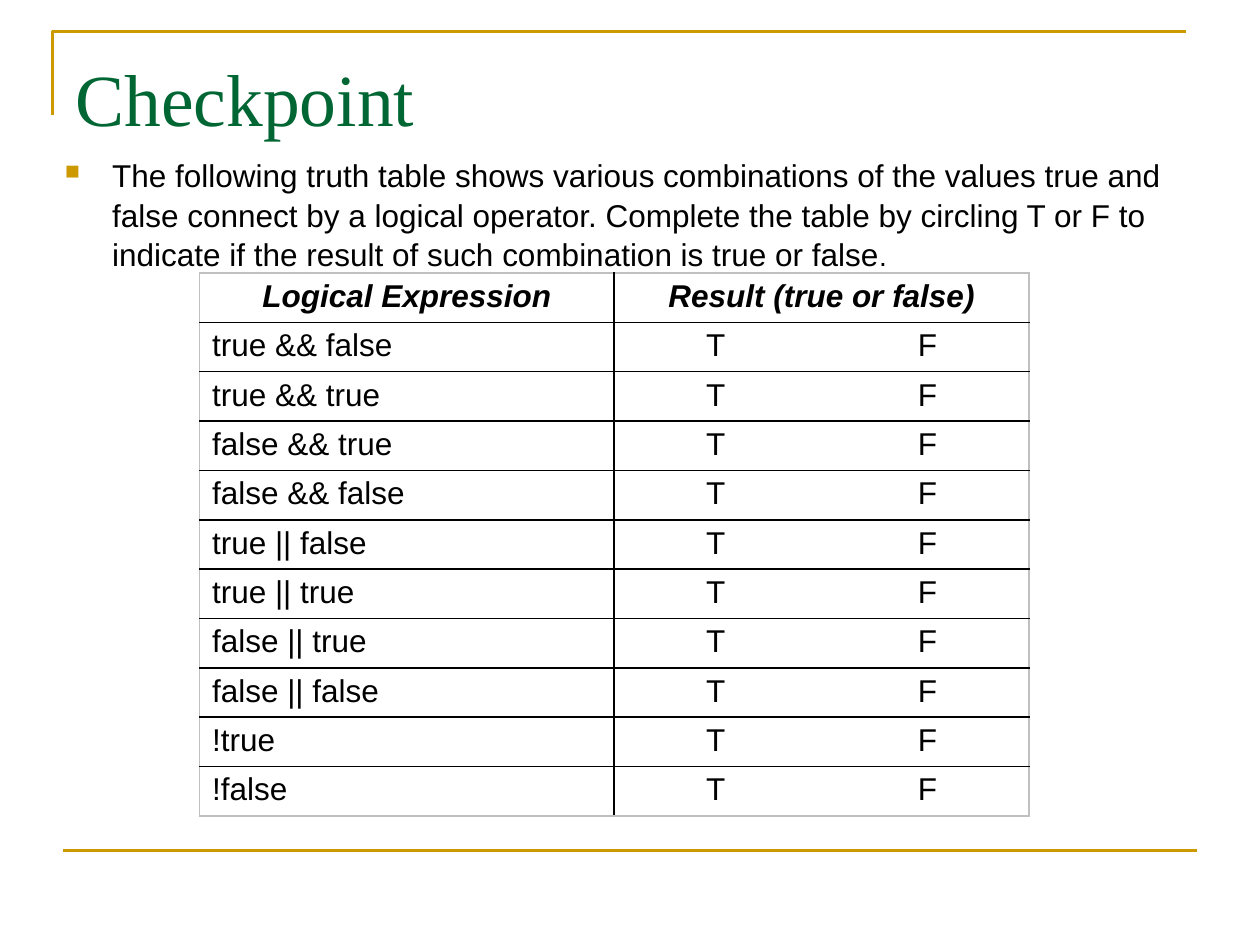
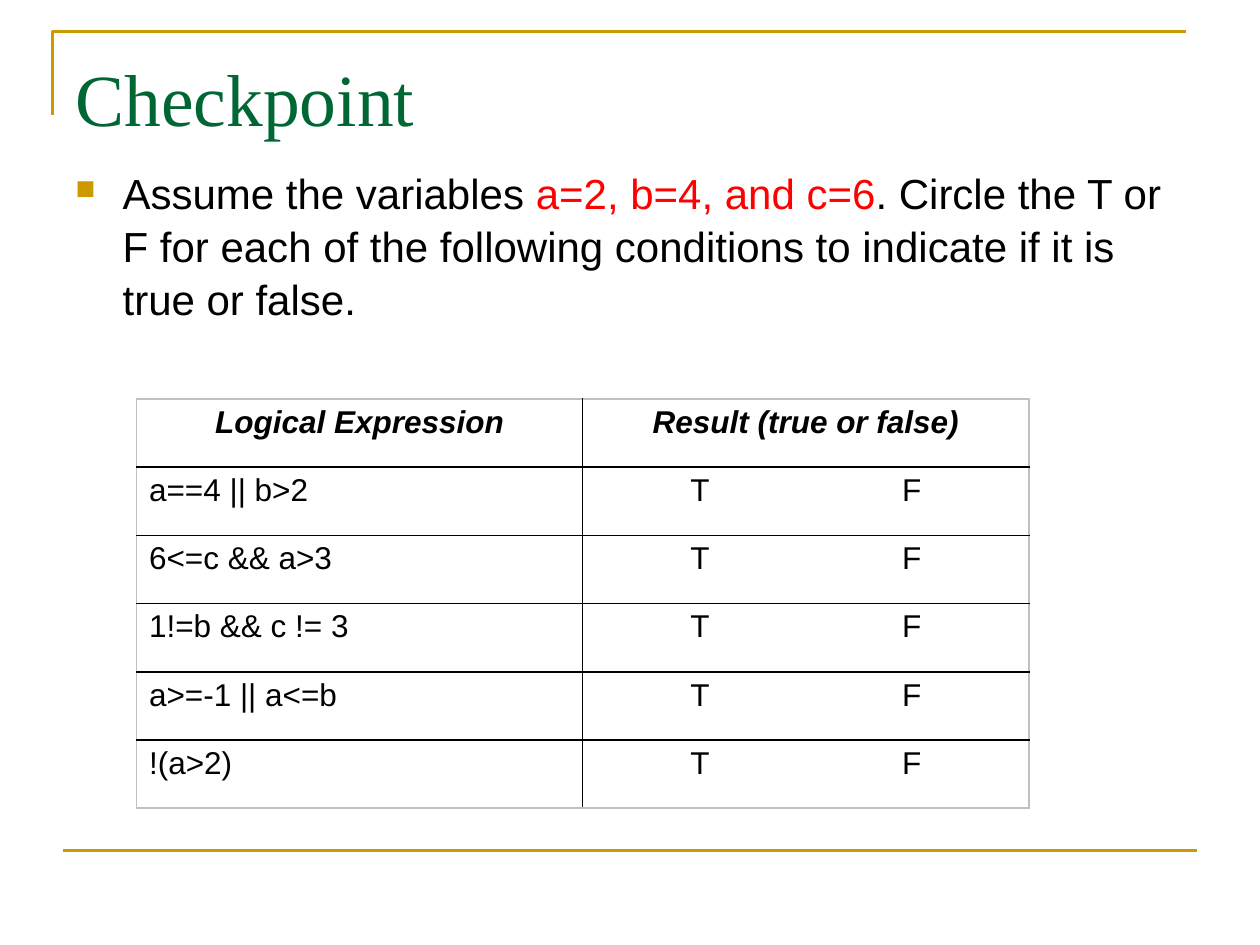
from dataclasses import dataclass

from lxml import etree
from pptx import Presentation
from pptx.dml.color import RGBColor
from pptx.enum.shapes import MSO_CONNECTOR
from pptx.enum.text import MSO_ANCHOR, PP_ALIGN
from pptx.oxml.ns import qn
from pptx.util import Pt

STRAIGHT = MSO_CONNECTOR.STRAIGHT
TOP = MSO_ANCHOR.TOP
LEFT, CENTER = PP_ALIGN.LEFT, PP_ALIGN.CENTER

COLORS = {
    "rule": "CC9900",
    "title": "006633",
    "text": "000000",
    "accent": "FF0000",
    "table_edge": "C0C0C0",
}
TITLE_FONT, BODY_FONT = "Times New Roman", "Arial"
TITLE_LAYOUT = 5
HEADERS = ("Logical Expression", "Result (true or false)")
CELL_SIDE, CELL_TOP = 7.2, 3.3
CHOICE_GAP = 121  # from the start of T to the start of F
CHOICE_WIDTH = 132  # whole width of the T and F pair


@dataclass(frozen=True)
class Phrase:
    text: str
    size: float
    color: str = "text"


@dataclass(frozen=True)
class Question:
    left: float
    top: float
    width: float
    height: float
    phrases: tuple[Phrase, ...]


@dataclass(frozen=True)
class TruthTable:
    left: float
    top: float
    column_width: float
    row_height: float
    expressions: tuple[str, ...]


@dataclass(frozen=True)
class Checkpoint:
    question: Question
    truth_table: TruthTable


CHECKPOINTS = (
    Checkpoint(
        Question(30, 84.5, 653, 72, (
            Phrase("The following truth table shows various combinations of the values "
                   "true and false connect by a logical operator. Complete the table by "
                   "circling T or F to indicate if the result of such combination is "
                   "true or false", 18),
            Phrase(".", 16),
        )),
        TruthTable(114, 156, 237, 27.43, (
            "true && false", "true && true", "false && true", "false && false",
            "true || false", "true || true", "false || true", "false || false",
            "!true", "!false",
        )),
    ),
    Checkpoint(
        Question(36, 91, 648, 138, (
            Phrase("Assume the variables ", 24),
            Phrase("a=2, b=4, and c=6", 24, "accent"),
            Phrase(". Circle the T or F for each of the following conditions to "
                   "indicate if it is true or false.", 24),
        )),
        TruthTable(78, 228, 255, 39, (
            "a==4 || b>2", "6<=c && a>3", "1!=b && c != 3", "a>=-1 || a<=b", "!(a>2)",
        )),
    ),
)


def color(name: str) -> RGBColor:
    return RGBColor.from_string(COLORS[name])


def format_font(font, name: str, size: float, color_name: str) -> None:
    font.name = name
    font.size = Pt(size)
    font.color.rgb = color(color_name)


def draw_frame(slide) -> None:
    # Corner rule above the title
    builder = slide.shapes.build_freeform(Pt(30), Pt(66))
    builder.add_line_segments([(Pt(30), Pt(18)), (Pt(678), Pt(18))], close=False)
    corner = builder.convert_to_shape()
    corner.shadow.inherit = False
    corner.fill.background()

    # Rule at the foot
    footer = slide.shapes.add_connector(STRAIGHT, Pt(36), Pt(486), Pt(684), Pt(486))
    for shape in (corner, footer):
        shape.line.color.rgb = color("rule")
        shape.line.width = Pt(1.5)
    etree.SubElement(footer._element.spPr, qn("a:effectLst"))


def set_title(slide, text: str) -> None:
    title = slide.shapes.title
    title.left, title.top, title.width, title.height = Pt(36), Pt(21.6), Pt(648), Pt(90)
    frame = title.text_frame
    frame.text = text
    frame.vertical_anchor = TOP
    frame.margin_top = Pt(8.5)
    paragraph = frame.paragraphs[0]
    paragraph.alignment = LEFT
    paragraph.line_spacing = 1.0
    format_font(paragraph.runs[0].font, TITLE_FONT, 42, "title")


def add_bullet(paragraph) -> None:
    properties = paragraph._p.get_or_add_pPr()
    properties.set("marL", str(Pt(27)))
    properties.set("indent", str(Pt(-27)))
    bullet_color = etree.SubElement(properties, qn("a:buClr"))
    etree.SubElement(bullet_color, qn("a:srgbClr"), val=COLORS["rule"])
    etree.SubElement(properties, qn("a:buSzPct"), val="65000")
    etree.SubElement(properties, qn("a:buChar"), char="■")


def add_question(slide, question: Question) -> None:
    box = slide.shapes.add_textbox(Pt(question.left), Pt(question.top),
                                   Pt(question.width), Pt(question.height))
    frame = box.text_frame
    frame.word_wrap = True
    paragraph = frame.paragraphs[0]
    add_bullet(paragraph)
    paragraph.line_spacing = 1.05
    for phrase in question.phrases:
        run = paragraph.add_run()
        run.text = phrase.text
        format_font(run.font, BODY_FONT, phrase.size, phrase.color)


def set_borders(cell, edges: dict[str, bool]) -> None:
    """Draw the four sides; an edge marked True lies on the table's outline."""
    properties = cell._tc.get_or_add_tcPr()
    for index, (side, is_outer) in enumerate(edges.items()):
        line = etree.Element(qn(f"a:ln{side}"), w=str(Pt(1)))
        fill = etree.SubElement(line, qn("a:solidFill"))
        color_name = "table_edge" if is_outer else "text"
        etree.SubElement(fill, qn("a:srgbClr"), val=COLORS[color_name])
        properties.insert(index, line)


def add_tab_stop(paragraph, position: float) -> None:
    tabs = etree.SubElement(paragraph._p.get_or_add_pPr(), qn("a:tabLst"))
    etree.SubElement(tabs, qn("a:tab"), pos=str(Pt(position)), algn="l")


def add_truth_table(slide, truth_table: TruthTable) -> None:
    rows = [HEADERS] + [(expression, "T\tF") for expression in truth_table.expressions]
    column_count = len(HEADERS)
    graphic = slide.shapes.add_table(
        len(rows), column_count, Pt(truth_table.left), Pt(truth_table.top),
        Pt(truth_table.column_width * column_count),
        Pt(truth_table.row_height * len(rows)))
    table = graphic.table
    table.first_row = table.horz_banding = False
    for column in table.columns:
        column.width = Pt(truth_table.column_width)

    for row_index, texts in enumerate(rows):
        table.rows[row_index].height = Pt(truth_table.row_height)
        is_header = row_index == 0
        for column_index, text in enumerate(texts):
            cell = table.cell(row_index, column_index)
            is_choice = column_index == 1 and not is_header
            cell.fill.background()
            set_borders(cell, {
                "L": column_index == 0,
                "R": column_index == column_count - 1,
                "T": is_header,
                "B": row_index == len(rows) - 1,
            })
            cell.margin_top = cell.margin_bottom = Pt(CELL_TOP)
            cell.margin_left = cell.margin_right = Pt(CELL_SIDE)
            cell.vertical_anchor = TOP
            cell.text_frame.text = text
            paragraph = cell.text_frame.paragraphs[0]
            if is_choice:
                # Centre the pair of letters in the column
                cell.margin_left = Pt((truth_table.column_width - CHOICE_WIDTH) / 2)
                add_tab_stop(paragraph, CHOICE_GAP)
            paragraph.alignment = CENTER if is_header else LEFT
            for run in paragraph.runs:
                format_font(run.font, BODY_FONT, 18, "text")
                run.font.bold = run.font.italic = is_header


def main() -> None:
    presentation = Presentation()
    presentation.slide_width, presentation.slide_height = Pt(720), Pt(540)
    for checkpoint in CHECKPOINTS:
        slide = presentation.slides.add_slide(presentation.slide_layouts[TITLE_LAYOUT])
        draw_frame(slide)
        set_title(slide, "Checkpoint")
        add_question(slide, checkpoint.question)
        add_truth_table(slide, checkpoint.truth_table)
    presentation.save("out.pptx")


if __name__ == "__main__":
    main()
